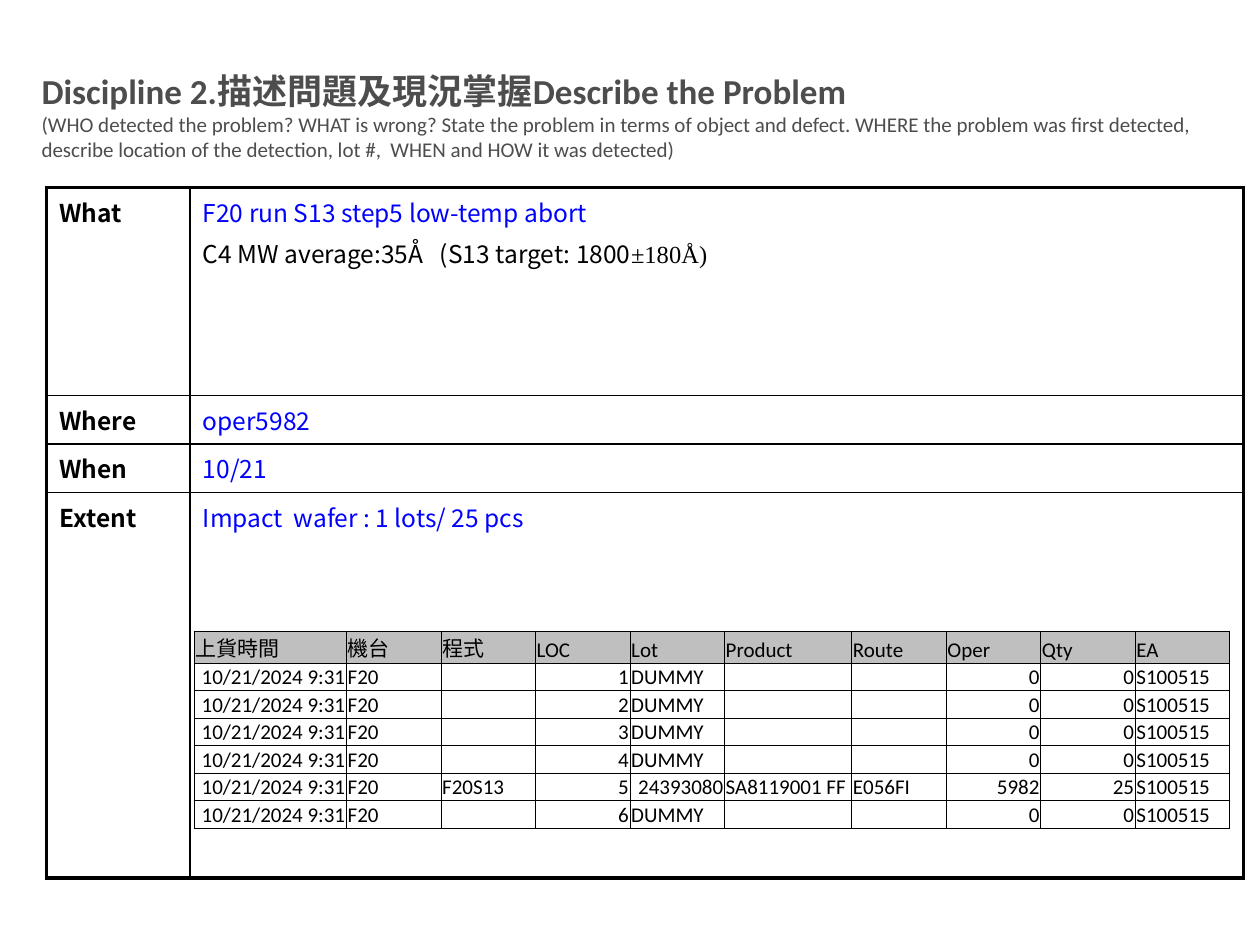
import pptx
import pptx.util
import pptx.dml.color
import pptx.enum.text
import pptx.oxml.ns
from lxml import etree

COLORS = {"title": "4D4D4D", "black": "000000", "answer": "0000FF", "header": "BFBFBF"}
ANCHOR = pptx.enum.text.MSO_ANCHOR
ALIGN = pptx.enum.text.PP_ALIGN
Inches = pptx.util.Inches
qn = pptx.oxml.ns.qn

LOTS_HEADER = ["上貨時間", "機台", "程式", "LOC", "Lot", "Product", "Route", "Oper", "Qty", "EA"]
LOADED_LOT = 5


def rgb(name):
    return pptx.dml.color.RGBColor.from_string(COLORS[name])


def add_text(paragraph, text, size=14, font="Noto Sans CJK SC", color="black", bold=False):
    run = paragraph.add_run()
    run.text = text
    run.font.size = pptx.util.Pt(size)
    run.font.name = font
    run.font.bold = bold
    run.font.color.rgb = rgb(color)


def format_cell(cell, borders, margins, anchor, fill=None):
    """Borders and margins are given as left, right, top, bottom."""
    properties = cell._tc.get_or_add_tcPr()
    for side, width in zip("LRTB", borders):
        line = etree.SubElement(properties, qn(f"a:ln{side}"), w=str(pptx.util.Pt(width)))
        solid = etree.SubElement(line, qn("a:solidFill"))
        etree.SubElement(solid, qn("a:srgbClr"), val=COLORS["black"])
    if fill:
        cell.fill.solid()
        cell.fill.fore_color.rgb = rgb(fill)
    else:
        cell.fill.background()
    cell.margin_left, cell.margin_right, cell.margin_top, cell.margin_bottom = map(Inches, margins)
    cell.vertical_anchor = anchor


def add_grid(slide, left, top, columns, rows):
    frame = slide.shapes.add_table(len(rows), len(columns), Inches(left), Inches(top),
                                   Inches(sum(columns)), Inches(sum(rows)))
    table = frame.table
    table.first_row = table.horz_banding = False
    for column, width in zip(table.columns, columns):
        column.width = Inches(width)
    for row, height in zip(table.rows, rows):
        row.height = Inches(height)
    return table


def add_title(slide):
    title = slide.shapes.title
    title.left, title.top, title.width, title.height = map(Inches, (0.23, 0.5, 9.65, 0.84))
    frame = title.text_frame
    frame.word_wrap = True
    frame.auto_size = pptx.enum.text.MSO_AUTO_SIZE.NONE
    frame.vertical_anchor = ANCHOR.MIDDLE
    heading, guide = frame.paragraphs[0], frame.add_paragraph()
    add_text(heading, "Discipline 2.描述問題及現況掌握Describe the Problem",
             size=20, font="Calibri", color="title", bold=True)
    add_text(guide, "(WHO detected the problem? WHAT is wrong? State the problem in terms of "
             "object and defect. WHERE the problem was first detected, describe location of "
             "the detection, lot #,  WHEN and HOW it was detected)",
             size=12, font="Calibri", color="title")
    for paragraph in frame.paragraphs:
        paragraph.alignment = ALIGN.LEFT
        paragraph.space_before = pptx.util.Pt(0)
        paragraph.line_spacing = 1.0


def add_problem_table(slide):
    entries = [("What", "F20 run S13 step5 low-temp abort"), ("Where", "oper5982"),
               ("When", "10/21"), ("Extent", "Impact  wafer : 1 lots/ 25 pcs")]
    table = add_grid(slide, 0.37, 1.49, [1.14, 8.36], [1.65, 0.36, 0.35, 3.06])
    thick, thin = 2.25, 1
    last = len(entries) - 1
    for index, entry in enumerate(entries):
        vertical = (thick if index == 0 else thin, thick if index == last else thin)
        anchor = ANCHOR.TOP if index in (0, last) else ANCHOR.MIDDLE
        for column, text in enumerate(entry):
            cell = table.cell(index, column)
            sides = (thin, thick) if column else (thick, thin)
            format_cell(cell, sides + vertical, (0.1, 0.1, 0.05, 0.05), anchor)
            add_text(cell.text_frame.paragraphs[0], text,
                     color="answer" if column else "black", bold=column == 0)
    # Measured value below the problem statement
    measurement = table.cell(0, 1).text_frame.add_paragraph()
    measurement.space_before = pptx.util.Pt(2.8)
    add_text(measurement, "C4 MW average:35Å   (S13 target: 1800")
    add_text(measurement, "±180Å)", font="Times New Roman")


def lot_row(location):
    if location == LOADED_LOT:
        program, details = "F20S13", ["24393080", "SA8119001 FF", "E056FI", "5982", "25"]
    else:
        program, details = "", ["DUMMY", "", "", "0", "0"]
    return ["10/21/2024 9:31", "F20", program, str(location), *details, "S100515"]


def add_lots_table(slide):
    records = [LOTS_HEADER] + [lot_row(location) for location in range(1, 7)]
    columns = [1.21] + [0.75] * 4 + [1.01] + [0.75] * 4
    table = add_grid(slide, 1.54, 5.01, columns, [1.53 / len(records)] * len(records))
    for row, record in enumerate(records):
        for column, text in enumerate(record):
            cell = table.cell(row, column)
            format_cell(cell, [0.5] * 4, (0.01, 0.01, 0.01, 0), ANCHOR.BOTTOM,
                        fill="header" if row == 0 else None)
            paragraph = cell.text_frame.paragraphs[0]
            # Numbers and times are set flush right
            if text.isdigit() or ":" in text:
                paragraph.alignment = ALIGN.RIGHT
            if text:
                add_text(paragraph, text, size=12, font="Calibri")
            else:
                etree.SubElement(paragraph._p, qn("a:endParaRPr"), sz="1200")


def main():
    presentation = pptx.Presentation()
    presentation.slide_width, presentation.slide_height = Inches(10), Inches(7.5)
    slide = presentation.slides.add_slide(presentation.slide_layouts[5])
    add_title(slide)
    add_problem_table(slide)
    add_lots_table(slide)
    presentation.save("out.pptx")


if __name__ == "__main__":
    main()
